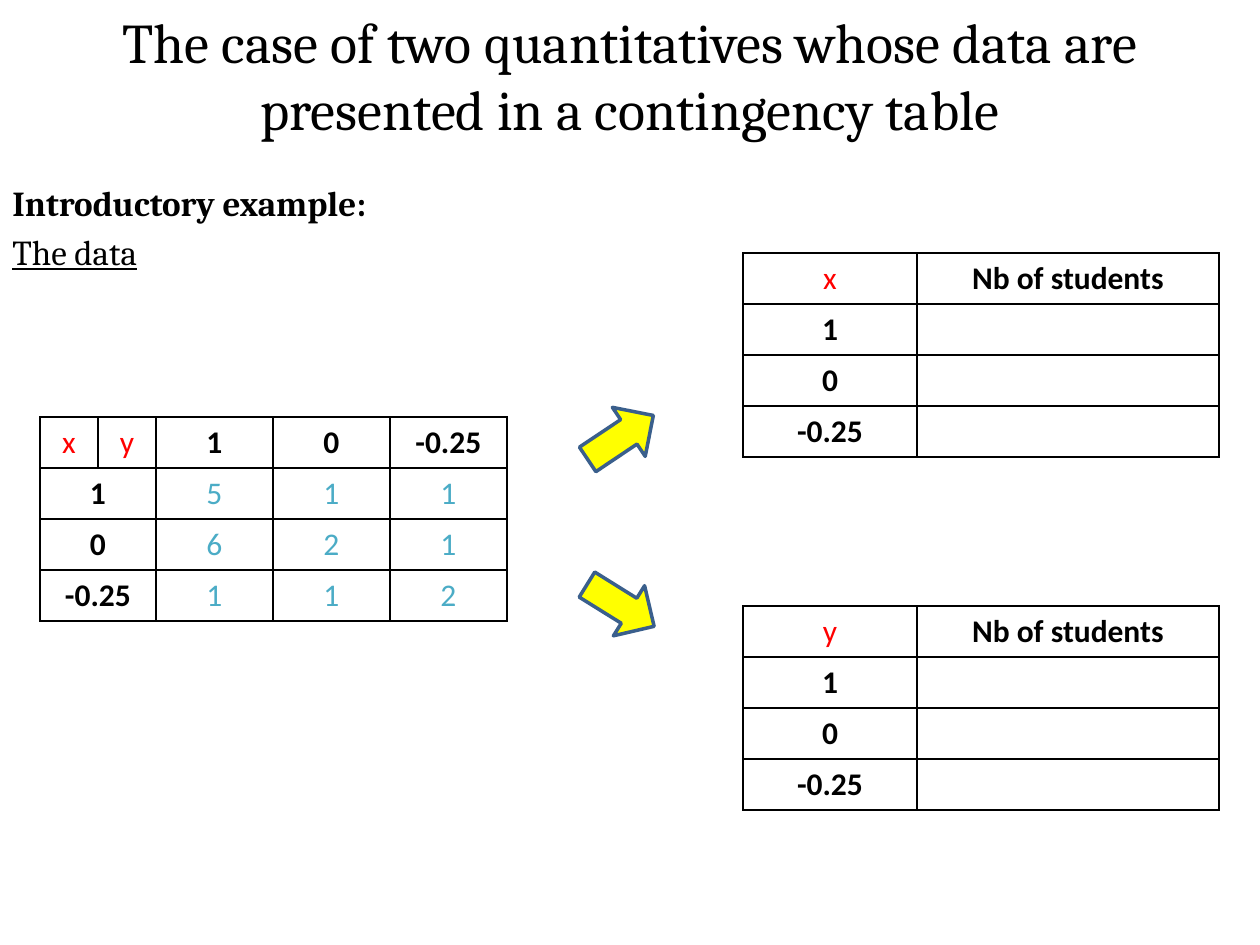
import pptx
import pptx.dml.color
import pptx.enum.shapes
import pptx.enum.text
import pptx.oxml
import pptx.oxml.ns
import pptx.util

EMU_PER_PX = 914400 / 126
COLORS = {"black": "000000", "red": "FF0000", "teal": "4BACC6",
          "yellow": "FFFF00", "navy": "3A5F8C"}
ALIGN = pptx.enum.text.PP_ALIGN
ANCHOR = pptx.enum.text.MSO_ANCHOR


def px(n):
    return pptx.util.Emu(round(n * EMU_PER_PX))


def rgb(name):
    return pptx.dml.color.RGBColor.from_string(COLORS[name])


def write(p, text, font="Calibri", size=18, color="black", bold=False,
          underline=False, align=ALIGN.CENTER):
    p.alignment = align
    r = p.add_run()
    r.text = text
    r.font.name = font
    r.font.size = pptx.util.Pt(size)
    r.font.color.rgb = rgb(color)
    r.font.bold = bold
    r.font.underline = underline


class SlideBuilder:
    font = "Cambria"
    row_height = 51

    def __init__(self, prs):
        self.s = prs.slides.add_slide(prs.slide_layouts[5])

    def title(self, box, text):
        sp = self.s.shapes.title
        sp.left, sp.top, sp.width, sp.height = map(px, box)
        tf = sp.text_frame
        tf.word_wrap = True
        tf.vertical_anchor = ANCHOR.MIDDLE
        write(tf.paragraphs[0], text, font=self.font, size=32)

    def body(self, box, lines):
        tf = self.s.shapes.add_textbox(*map(px, box)).text_frame
        tf.word_wrap = True
        for i, (text, style) in enumerate(lines):
            p = tf.add_paragraph() if i else tf.paragraphs[0]
            if i:
                p.space_before = pptx.util.Pt(4)
            write(p, text, font=self.font, size=20, align=ALIGN.LEFT, **style)

    def arrow(self, box, rotation):
        sp = self.s.shapes.add_shape(
            pptx.enum.shapes.MSO_SHAPE.RIGHT_ARROW, *map(px, box))
        sp.rotation = rotation
        sp.shadow.inherit = False
        sp.fill.solid()
        sp.fill.fore_color.rgb = rgb("yellow")
        sp.line.color.rgb = rgb("navy")
        sp.line.width = pptx.util.Pt(2)

    def border(self, cell):
        tc_pr = cell._tc.get_or_add_tcPr()
        for i, side in enumerate(("lnL", "lnR", "lnT", "lnB")):
            tc_pr.insert(i, pptx.oxml.parse_xml(
                f'<a:{side} {pptx.oxml.ns.nsdecls("a")} w="12700"><a:solidFill>'
                f'<a:srgbClr val="{COLORS["black"]}"/></a:solidFill></a:{side}>'))

    def table(self, left, top, widths, rows, merge_labels=False):
        """Variable names are red, headings bold black, counts teal."""
        tbl = self.s.shapes.add_table(
            len(rows), len(widths), px(left), px(top), px(sum(widths)),
            px(self.row_height * len(rows))).table
        tbl.first_row = tbl.horz_banding = False
        for col, width in zip(tbl.columns, widths):
            col.width = px(width)
        for i, row in enumerate(rows):
            tbl.rows[i].height = px(self.row_height)
            if merge_labels and i:
                tbl.cell(i, 0).merge(tbl.cell(i, 1))
            for j, text in enumerate(row):
                cell = tbl.cell(i, j)
                cell.fill.background()
                self.border(cell)
                if not text:
                    continue
                heading = i == 0 or j == 0
                variable = text in ("x", "y")
                color = "red" if variable else "black" if heading else "teal"
                write(cell.text_frame.paragraphs[0], text, color=color,
                      bold=heading and not variable)


def main():
    prs = pptx.Presentation()
    prs.slide_width, prs.slide_height = px(1260), px(945)
    slide = SlideBuilder(prs)

    # Heading and introduction
    slide.title((63, -4, 1134, 158),
                "The case of two quantitatives whose data are "
                "presented in a contingency table")
    slide.body((0, 175, 1260, 770), [
        ("Introductory example:", {"bold": True}),
        ("The data", {"underline": True})])

    # Contingency table
    values = ["1", "0", "-0.25"]
    counts = [["5", "1", "1"], ["6", "2", "1"], ["1", "1", "2"]]
    slide.table(40, 417, [58, 58, 117, 117, 117],
                [["x", "y", *values]]
                + [[v, "", *row] for v, row in zip(values, counts)],
                merge_labels=True)

    # Arrows to the marginal tables
    for top, rotation in ((408, 326.2), (576, 31.9)):
        slide.arrow((581, top, 79, 59), rotation)

    # Marginal tables
    for variable, top in (("x", 253), ("y", 606)):
        slide.table(743, top, [174, 302],
                    [[variable, "Nb of students"]] + [[v, ""] for v in values])

    prs.save("out.pptx")


if __name__ == "__main__":
    main()
